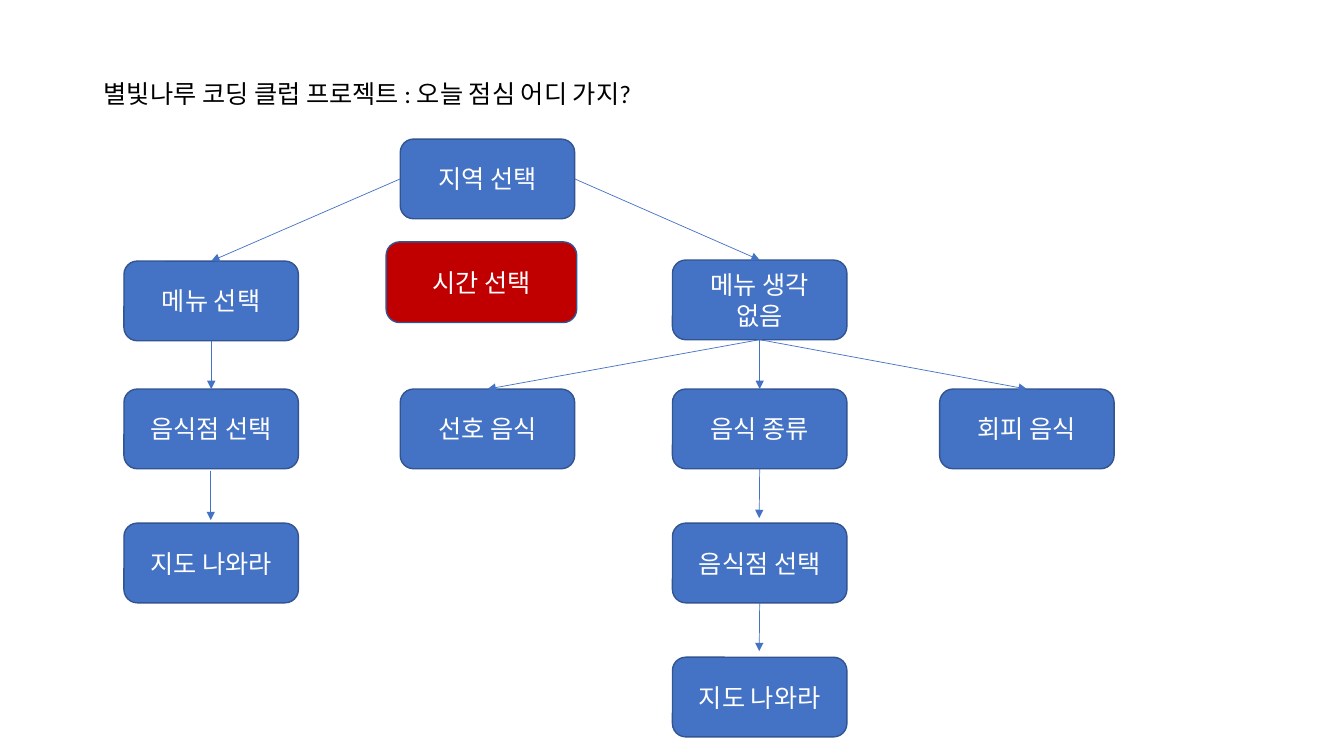
import pptx
import pptx.util
import pptx.dml.color
import pptx.enum.shapes
import pptx.enum.text
import pptx.oxml
import pptx.oxml.ns

# Content
TITLE = "별빛나루 코딩 클럽 프로젝트 : 오늘 점심 어디 가지?"
STEPS = {  # key: (text, left, top) in px
    "region": ("지역 선택", 397, 138),
    "liked": ("선호 음식", 397, 386),
    "undecided": ("메뉴 생각 없음", 667, 258),
    "menu": ("메뉴 선택", 123, 259),
    "cuisine": ("음식 종류", 667, 386),
    "avoided": ("회피 음식", 932, 386),
    "menu_place": ("음식점 선택", 123, 386),
    "menu_map": ("지도 나와라", 123, 519),
    "cuisine_place": ("음식점 선택", 667, 519),
    "cuisine_map": ("지도 나와라", 667, 652),
}
TIME_STEP = ("시간 선택", 383, 240)
TOP, LEFT, BOTTOM, RIGHT = range(4)
ARROWS = [  # from, side, to, gap at start, gap at end
    ("region", LEFT, "menu", 0, 0),
    ("region", RIGHT, "undecided", 0, 0),
    ("undecided", BOTTOM, "avoided", 0, 0),
    ("undecided", BOTTOM, "liked", 0, 0),
    ("undecided", BOTTOM, "cuisine", 0, 0),
    ("cuisine", BOTTOM, "cuisine_place", 0, 5),
    ("cuisine_place", BOTTOM, "cuisine_map", 0, 6),
    ("menu", BOTTOM, "menu_place", 0, 0),
    ("menu_place", BOTTOM, "menu_map", 2, 3),
]
COLORS = {"step": "4472C4", "outline": "325491", "time": "C00000",
          "light": "FFFFFF", "dark": "000000"}
STEP_W, STEP_H = 173, 79


def px(n):
    return pptx.util.Emu(n * 9144)  # 100 px to the inch


def rgb(name):
    return pptx.dml.color.RGBColor.from_string(COLORS[name])


def write(frame, text, *, color, align, anchor, wrap):
    frame.word_wrap = wrap
    frame.vertical_anchor = anchor
    line = frame.paragraphs[0]
    line.alignment = align
    run = line.add_run()
    run.text = text
    run.font.name = "Calibri"
    run.font.size = pptx.util.Pt(18)
    run.font.color.rgb = rgb(color)


def add_step(text, left, top, width=STEP_W, height=STEP_H, fill="step"):
    step = slide.shapes.add_shape(
        pptx.enum.shapes.MSO_SHAPE.ROUNDED_RECTANGLE,
        px(left), px(top), px(width), px(height))
    step.shadow.inherit = False
    step.fill.solid()
    step.fill.fore_color.rgb = rgb(fill)
    step.line.color.rgb = rgb("outline")
    step.line.width = pptx.util.Pt(1)
    write(step.text_frame, text, color="light", wrap=True,
          align=pptx.enum.text.PP_ALIGN.CENTER,
          anchor=pptx.enum.text.MSO_ANCHOR.MIDDLE)
    return step


def side_middle(key, side):
    _, left, top = STEPS[key]
    x = left + {LEFT: 0, RIGHT: STEP_W}.get(side, STEP_W // 2)
    y = top + {TOP: 0, BOTTOM: STEP_H}.get(side, STEP_H // 2)
    return x, y


def add_arrow(source, side, target, start_gap, end_gap):
    x1, y1 = side_middle(source, side)
    x2, y2 = side_middle(target, TOP)
    arrow = slide.shapes.add_connector(
        pptx.enum.shapes.MSO_CONNECTOR.STRAIGHT,
        px(x1), px(y1 + start_gap), px(x2), px(y2 - end_gap))
    if not start_gap:
        arrow.begin_connect(steps[source], side)
    if not end_gap:
        arrow.end_connect(steps[target], TOP)
    arrow.line.color.rgb = rgb("step")
    arrow.line.width = pptx.util.Pt(0.5)
    head = pptx.oxml.parse_xml(
        f'<a:tailEnd {pptx.oxml.ns.nsdecls("a")} type="triangle"/>')
    arrow.line._get_or_add_ln().append(head)
    arrow._element.spPr.append(pptx.oxml.parse_xml(
        f'<a:effectLst {pptx.oxml.ns.nsdecls("a")}/>'))


deck = pptx.Presentation()
deck.slide_width, deck.slide_height = px(1333), px(750)
slide = deck.slides.add_slide(deck.slide_layouts[6])

# Title
title = slide.shapes.add_textbox(px(93), px(73), px(590), px(40))
write(title.text_frame, TITLE, color="dark", wrap=False,
      align=pptx.enum.text.PP_ALIGN.LEFT,
      anchor=pptx.enum.text.MSO_ANCHOR.TOP)
title.text_frame.auto_size = pptx.enum.text.MSO_AUTO_SIZE.SHAPE_TO_FIT_TEXT

# Flow
steps = {key: add_step(*step) for key, step in STEPS.items()}
for link in ARROWS:
    add_arrow(*link)
add_step(*TIME_STEP, width=189, height=80, fill="time")

deck.save("out.pptx")
